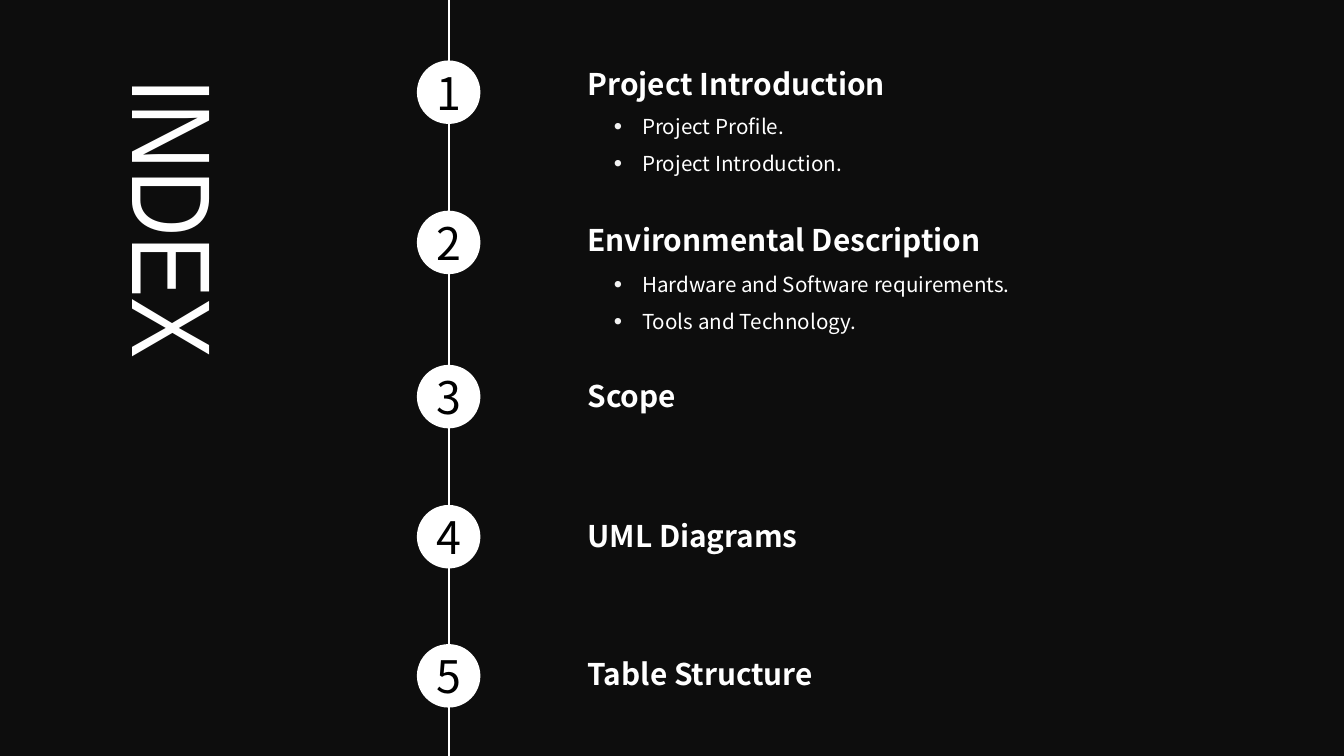
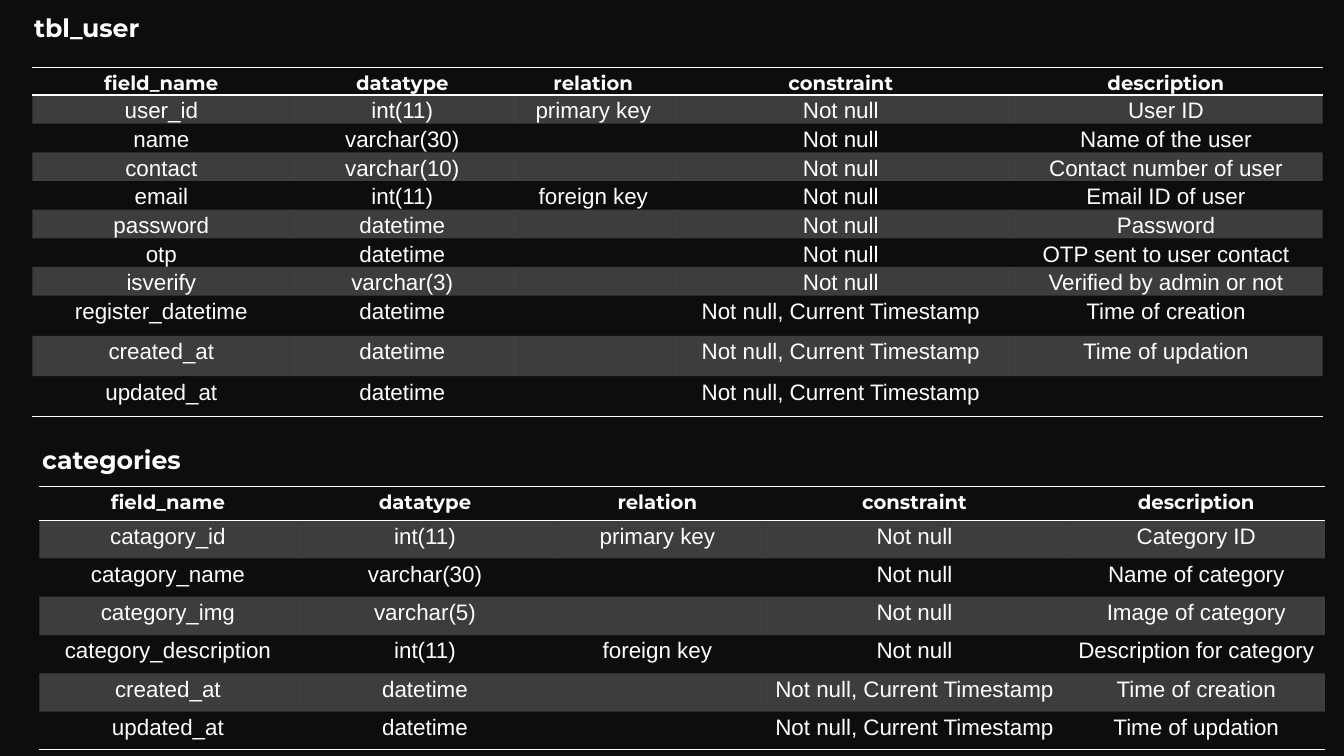
from dataclasses import dataclass

from lxml import etree
from pptx import Presentation, util as u
from pptx.dml.color import RGBColor
from pptx.enum import shapes, text
from pptx.oxml.ns import qn

# Content: number circle top, text top, heading, bullets, gap before first bullet
TOPICS = [
    (0.60, 0.43, "Project Introduction",
     ["Project Profile.", "Project Introduction."], 0),
    (2.09, 1.97, "Environmental Description",
     ["Hardware and Software requirements.", "Tools and Technology."], 2),
    (3.62, 3.70, "Scope", [], 0),
    (5.01, 5.09, "UML Diagrams", [], 0),
    (6.39, 6.46, "Table Structure", [], 0),
]
HEADER = ("field_name", "datatype", "relation", "constraint", "description")
STAMPED = "Not null, Current Timestamp"
TABLES = [
    dict(
        title="tbl_user", title_at=(0.24, 0.07), at=(0.32, 0.67),
        columns=[2.56, 2.22, 1.57, 3.34, 3.11],
        heights=[0.21] + [0.26] * 7 + [0.4] * 3,
        rows=[
            ("user_id", "int(11)", "primary key", "Not null", "User ID"),
            ("name", "varchar(30)", "", "Not null", "Name of the user"),
            ("contact", "varchar(10)", "", "Not null", "Contact number of user"),
            ("email", "int(11)", "foreign key", "Not null", "Email ID of user"),
            ("password", "datetime", "", "Not null", "Password"),
            ("otp", "datetime", "", "Not null", "OTP sent to user contact"),
            ("isverify", "varchar(3)", "", "Not null", "Verified by admin or not"),
            ("register_datetime", "datetime", "", STAMPED, "Time of creation"),
            ("created_at", "datetime", "", STAMPED, "Time of updation"),
            ("updated_at", "datetime", "", STAMPED, ""),
        ]),
    dict(
        title="categories", title_at=(0.32, 4.36), at=(0.39, 4.83),
        columns=[2.55, 2.55, 2.06, 3.04, 2.55],
        heights=[0.33] + [0.38] * 6,
        rows=[
            ("catagory_id", "int(11)", "primary key", "Not null", "Category ID"),
            ("catagory_name", "varchar(30)", "", "Not null", "Name of category"),
            ("category_img", "varchar(5)", "", "Not null", "Image of category"),
            ("category_description", "int(11)", "foreign key", "Not null",
             "Description for category"),
            ("created_at", "datetime", "", STAMPED, "Time of creation"),
            ("updated_at", "datetime", "", STAMPED, "Time of updation"),
        ]),
]


@dataclass(frozen=True)
class Theme:
    back: str = "0D0D0D"
    ink: str = "FFFFFF"
    dark: str = "000000"
    bullet: str = "F2F2F2"
    band_alpha: int = 20
    index_font: str = "Arial Narrow"
    list_font: str = "Noto Sans CJK SC"
    head_font: str = "Montserrat"
    cell_font: str = "Arial"
    index: float = 80
    number: float = 32
    topic: float = 21.3
    item: float = 14.7
    title: float = 18
    header: float = 14
    cell: float = 16


THEME = Theme()
WIDTH, HEIGHT = 13.33, 7.5
AXIS, CIRCLE = 4.45, 0.63
TOPIC_LEFT, TOPIC_WIDTH = 5.73, 5.19
ALIGN = text.PP_ALIGN
PLAIN_TABLE = "{2D5ABB26-0587-4C30-8999-92F81FD0307C}"


def rgb(color):
    return RGBColor.from_string(color)


def write(para, words, *, size, font, color=THEME.ink, bold=False,
          align=None, line=None, before=None, after=None):
    """Put formatted words into a paragraph."""
    para.alignment = align
    para.line_spacing = line
    if before:
        para.space_before = u.Pt(before)
    if after:
        para.space_after = u.Pt(after)
    if not words:
        # An empty cell still needs a type size to keep its row low
        etree.SubElement(para._p, qn("a:endParaRPr"), sz=str(round(size * 100)))
        return
    span = para.add_run()
    span.text = words
    span.font.size = u.Pt(size)
    span.font.name = font
    span.font.bold = bold
    span.font.color.rgb = rgb(color)


def add_page(deck):
    page = deck.slides.add_slide(deck.slide_layouts[6])
    page.background.fill.solid()
    page.background.fill.fore_color.rgb = rgb(THEME.back)
    return page


def add_box(page, left, top, width, height):
    box = page.shapes.add_textbox(*map(u.Inches, (left, top, width, height)))
    box.text_frame.word_wrap = True
    return box.text_frame


def add_bullet(para):
    props = para._p.get_or_add_pPr()
    props.set("marL", str(u.Inches(0.54)))
    props.set("indent", str(u.Inches(-0.28)))
    color = etree.SubElement(props, qn("a:buClr"))
    etree.SubElement(color, qn("a:srgbClr"), val=THEME.bullet)
    etree.SubElement(props, qn("a:buSzPct"), val="115000")
    etree.SubElement(props, qn("a:buFont"), typeface="Arial")
    etree.SubElement(props, qn("a:buChar"), char="•")


def add_number(page, number, top):
    circle = page.shapes.add_shape(
        shapes.MSO_SHAPE.OVAL,
        *map(u.Inches, (AXIS - CIRCLE / 2, top, CIRCLE, CIRCLE)))
    circle.shadow.inherit = False
    circle.fill.solid()
    circle.fill.fore_color.rgb = rgb(THEME.ink)
    circle.line.fill.background()
    frame = circle.text_frame
    frame.vertical_anchor = text.MSO_ANCHOR.MIDDLE
    frame.word_wrap = False
    write(frame.paragraphs[0], str(number), size=THEME.number,
          font=THEME.list_font, color=THEME.dark, align=ALIGN.CENTER)


def add_topic(page, top, heading, bullets, gap):
    frame = add_box(page, TOPIC_LEFT, top, TOPIC_WIDTH, 1.4 if bullets else 0.46)
    line = 1.5 if bullets else None
    write(frame.paragraphs[0], heading, size=THEME.topic,
          font=THEME.list_font, bold=True, line=line)
    for place, words in enumerate(bullets):
        para = frame.add_paragraph()
        add_bullet(para)
        write(para, words, size=THEME.item, font=THEME.list_font,
              line=line, before=0 if place else gap)


def add_index_page(deck):
    page = add_page(deck)
    # Vertical title
    frame = add_box(page, 0.92, 0.68, 1.55, 5.7)
    frame._txBody.bodyPr.set("vert", "eaVert")
    write(frame.paragraphs[0], "INDEX", size=THEME.index,
          font=THEME.index_font, align=ALIGN.JUSTIFY)
    # Timeline
    axis = page.shapes.add_connector(
        shapes.MSO_CONNECTOR.STRAIGHT,
        *map(u.Inches, (AXIS, 0, AXIS, HEIGHT)))
    axis.line.color.rgb = rgb(THEME.ink)
    axis.line.width = u.Pt(1.25)
    etree.SubElement(axis._element.spPr, qn("a:effectLst"))
    for number, (circle_top, *topic) in enumerate(TOPICS, 1):
        add_number(page, number, circle_top)
        add_topic(page, *topic)


def style_cell(cell, banded, edges):
    cell.margin_left = cell.margin_right = u.Inches(0.07)
    cell.margin_top = cell.margin_bottom = 0
    if banded:
        cell.fill.solid()
        cell.fill.fore_color.rgb = rgb(THEME.ink)
    else:
        cell.fill.background()
    props = cell._tc.get_or_add_tcPr()
    if banded:
        etree.SubElement(props.find(".//" + qn("a:srgbClr")), qn("a:alpha"),
                         val=str(THEME.band_alpha * 1000))
    for place, edge in enumerate(edges):
        border = etree.Element(qn("a:" + edge), w=str(u.Pt(1)))
        fill = etree.SubElement(border, qn("a:solidFill"))
        etree.SubElement(fill, qn("a:srgbClr"), val=THEME.ink)
        props.insert(place, border)


def add_field_table(page, data):
    rows = [HEADER] + data["rows"]
    columns, heights = data["columns"], data["heights"]
    frame = page.shapes.add_table(
        len(rows), len(columns),
        *map(u.Inches, (*data["at"], sum(columns), sum(heights))))
    table = frame.table
    table._tbl.tblPr.find(qn("a:tableStyleId")).text = PLAIN_TABLE
    for column, width in zip(table.columns, columns):
        column.width = u.Inches(width)
    for place, (row, height, values) in enumerate(zip(table.rows, heights, rows)):
        row.height = u.Inches(height)
        header = place == 0
        edges = (["lnT", "lnB"] if header
                 else ["lnB"] if place == len(rows) - 1 else [])
        for cell, words in zip(row.cells, values):
            style_cell(cell, place % 2 == 1, edges)
            write(cell.text_frame.paragraphs[0], words, bold=header,
                  size=THEME.header if header else THEME.cell,
                  font=THEME.head_font if header else THEME.cell_font,
                  align=ALIGN.CENTER, line=1.15, after=10)


def add_tables_page(deck):
    page = add_page(deck)
    for data in TABLES:
        add_field_table(page, data)
        frame = add_box(page, *data["title_at"], 3, 0.4)
        write(frame.paragraphs[0], data["title"], size=THEME.title,
              font=THEME.head_font, bold=True)


def main():
    deck = Presentation()
    deck.slide_width, deck.slide_height = u.Inches(WIDTH), u.Inches(HEIGHT)
    add_index_page(deck)
    add_tables_page(deck)
    deck.save("out.pptx")


if __name__ == "__main__":
    main()
